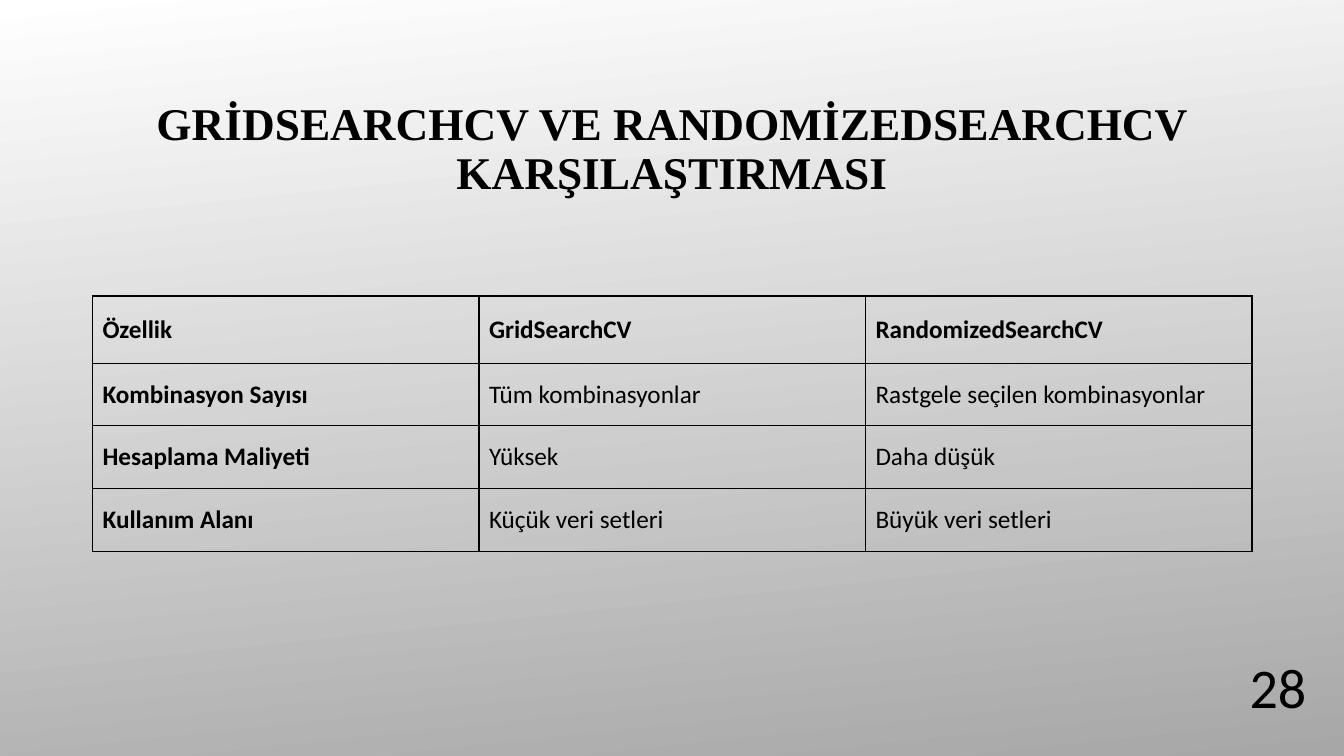
from lxml import etree
from pptx import Presentation
from pptx.dml import color
from pptx.enum import text
from pptx.oxml import ns
from pptx.util import Cm, Pt

COLORS = {"ink": "000000", "bg_top": "FFFFFF", "bg_bottom": "A7A7A7"}
BORDER_WIDTH = Pt(1)

TITLE = "GRİDSEARCHCV VE RANDOMİZEDSEARCHCV KARŞILAŞTIRMASI"
COMPARISON = [
    ["Özellik", "GridSearchCV", "RandomizedSearchCV"],
    ["Kombinasyon Sayısı", "Tüm kombinasyonlar", "Rastgele seçilen kombinasyonlar"],
    ["Hesaplama Maliyeti", "Yüksek", "Daha düşük"],
    ["Kullanım Alanı", "Küçük veri setleri", "Büyük veri setleri"],
]


def rgb(name):
    return color.RGBColor.from_string(COLORS[name])


def write(frame, words, size=18, font="Calibri", bold=False,
          align=text.PP_ALIGN.LEFT, anchor=None, spacing=None):
    frame.word_wrap = True
    if anchor is not None:
        frame.vertical_anchor = anchor
    paragraph = frame.paragraphs[0]
    paragraph.alignment = align
    if spacing:
        paragraph.line_spacing = spacing
    run = paragraph.add_run()
    run.text = words
    run.font.size = Pt(size)
    run.font.name = font
    run.font.bold = bold
    run.font.color.rgb = rgb("ink")


def paint_background(slide):
    fill = slide.background.fill
    fill.gradient()
    fill.gradient_angle = 276
    for stop, name in zip(fill.gradient_stops, ("bg_top", "bg_bottom")):
        stop.color.rgb = rgb(name)


def add_title(slide, words):
    title = slide.shapes.title
    title.left, title.top, title.width, title.height = Cm(3.18), Cm(1.73), Cm(27.5), Cm(4.11)
    frame = title.text_frame
    frame.auto_size = text.MSO_AUTO_SIZE.NONE
    write(frame, words, size=32.4, font="Times New Roman", bold=True,
          align=text.PP_ALIGN.CENTER, anchor=text.MSO_ANCHOR.MIDDLE, spacing=0.9)


def add_page_number(slide, number):
    page_number = slide.shapes.add_textbox(Cm(29.44), Cm(16.33), Cm(3.73), Cm(2.34))
    write(page_number.text_frame, number, size=40, align=text.PP_ALIGN.RIGHT)


def outline_cell(cell):
    properties = cell._tc.get_or_add_tcPr()
    for position, side in enumerate(("a:lnL", "a:lnR", "a:lnT", "a:lnB")):
        line = etree.Element(ns.qn(side), w=str(BORDER_WIDTH))
        fill = etree.SubElement(line, ns.qn("a:solidFill"))
        etree.SubElement(fill, ns.qn("a:srgbClr"), val=COLORS["ink"])
        properties.insert(position, line)


def add_comparison(slide, rows):
    header_height, row_height, column_width = Cm(1.69), Cm(1.58), Cm(9.74)
    columns = len(rows[0])
    table = slide.shapes.add_table(
        len(rows), columns, Cm(2.33), Cm(7.46), column_width * columns,
        header_height + row_height * (len(rows) - 1)).table
    table.horz_banding = False
    for column in table.columns:
        column.width = column_width
    for r, labels in enumerate(rows):
        table.rows[r].height = header_height if r == 0 else row_height
        for c, label in enumerate(labels):
            cell = table.cell(r, c)
            cell.fill.background()
            cell.vertical_anchor = text.MSO_ANCHOR.MIDDLE
            write(cell.text_frame, label, bold=r == 0 or c == 0)
            outline_cell(cell)


def main():
    deck = Presentation()
    deck.slide_width, deck.slide_height = Cm(33.87), Cm(19.05)
    slide = deck.slides.add_slide(deck.slide_layouts[5])

    # Background and heading
    paint_background(slide)
    add_title(slide, TITLE)

    # Page number and comparison table
    add_page_number(slide, "28")
    add_comparison(slide, COMPARISON)

    deck.save("out.pptx")


if __name__ == "__main__":
    main()
